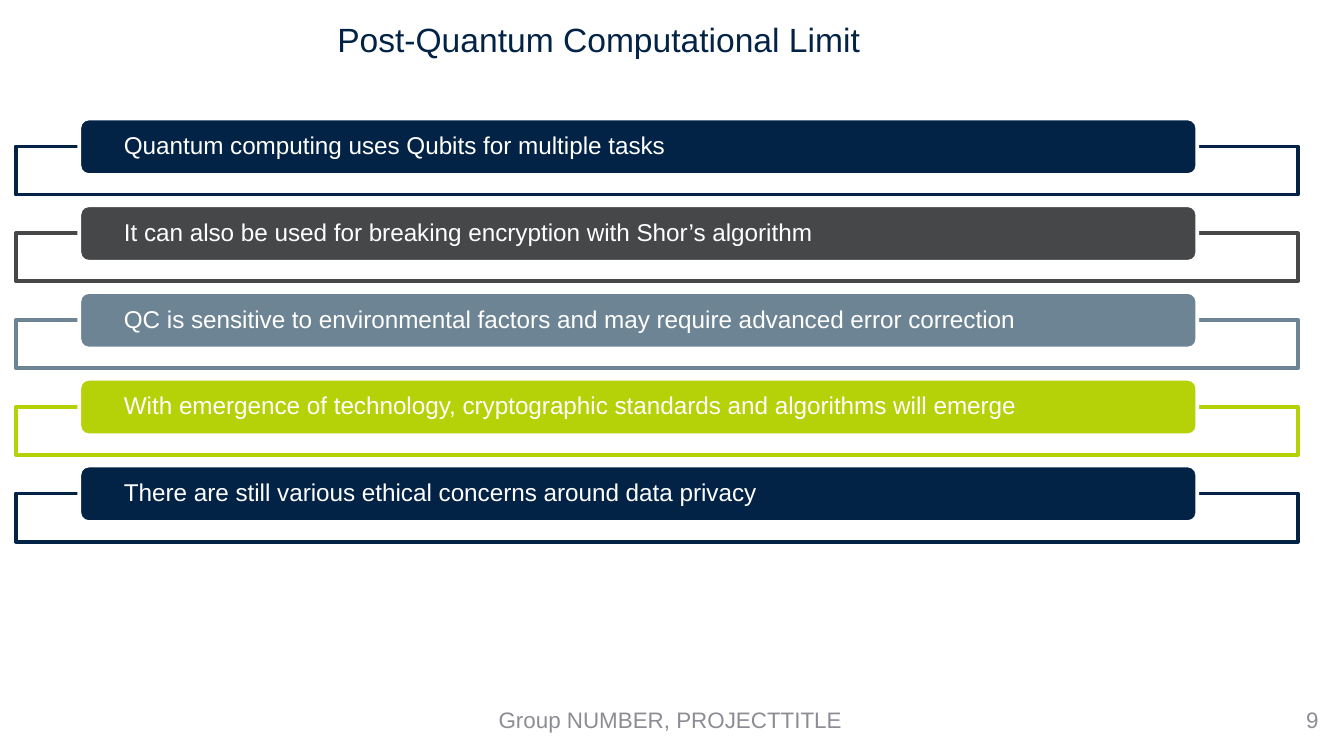
from lxml.etree import SubElement
from pptx import Presentation
from pptx.dml.color import RGBColor
from pptx.enum.shapes import MSO_SHAPE
from pptx.enum.text import MSO_ANCHOR, PP_ALIGN
from pptx.oxml.ns import qn
from pptx.util import Cm, Pt

NAVY = RGBColor(0x02, 0x23, 0x45)
CHARCOAL = RGBColor(0x46, 0x47, 0x49)
SLATE = RGBColor(0x6D, 0x84, 0x95)
LIME = RGBColor(0xB5, 0xD1, 0x07)
GRAY = RGBColor(0x8C, 0x8D, 0x94)
WHITE = RGBColor(0xFF, 0xFF, 0xFF)

POINTS = [
    ("Quantum computing uses Qubits for multiple tasks", NAVY),
    ("It can also be used for breaking encryption with Shor’s algorithm", CHARCOAL),
    ("QC is sensitive to environmental factors and may require advanced error correction", SLATE),
    ("With emergence of technology, cryptographic standards and algorithms will emerge", LIME),
    ("There are still various ethical concerns around data privacy", NAVY),
]
FIRST_TOP = 2.24
ROW_STEP = 1.64
FRAME_OFFSET = 0.53


class SlideBuilder:
    """Draws the slide's elements in one shared style, with lengths in centimetres."""

    font = "Arial"
    line_width = Pt(2)

    def __init__(self, slide):
        self.slide = slide

    def set_text(self, frame, text, size, color, align=PP_ALIGN.LEFT):
        frame.text = text
        frame.word_wrap = True
        frame.vertical_anchor = MSO_ANCHOR.MIDDLE
        paragraph = frame.paragraphs[0]
        paragraph.alignment = align
        font = paragraph.runs[0].font
        font.name, font.size, font.color.rgb = self.font, Pt(size), color
        return paragraph

    def title(self, text, left, top, width, height):
        heading = self.slide.shapes.title
        heading.left, heading.top = Cm(left), Cm(top)
        heading.width, heading.height = Cm(width), Cm(height)
        self.set_text(heading.text_frame, text, 18, NAVY)

    def label(self, text, left, top, width, height, align):
        box = self.slide.shapes.add_textbox(Cm(left), Cm(top), Cm(width), Cm(height))
        self.set_text(box.text_frame, text, 12, GRAY, align)

    def box(self, kind, left, top, width, height, fill, line):
        shape = self.slide.shapes.add_shape(kind, Cm(left), Cm(top), Cm(width), Cm(height))
        shape.shadow.inherit = False
        shape.fill.solid()
        shape.fill.fore_color.rgb = fill
        shape.line.color.rgb = line
        shape.line.width = self.line_width
        return shape

    def frame(self, top, color):
        outline = self.box(MSO_SHAPE.RECTANGLE, 0.3, top, 24.23, 0.91, WHITE, color)
        white = outline.element.spPr.find(qn("a:solidFill")).find(qn("a:srgbClr"))
        SubElement(white, qn("a:alpha"), val="90000")

    def bar(self, text, top, color):
        bar = self.box(MSO_SHAPE.ROUNDED_RECTANGLE, 1.5, top, 21.13, 1.07, color, WHITE)
        frame = bar.text_frame
        frame.margin_left = frame.margin_right = Cm(0.79)
        frame.margin_top = frame.margin_bottom = 0
        self.set_text(frame, text, 13, WHITE).line_spacing = 0.9


def main():
    presentation = Presentation()
    presentation.slide_width, presentation.slide_height = Cm(25.4), Cm(14.29)
    builder = SlideBuilder(presentation.slides.add_slide(presentation.slide_layouts[5]))

    builder.title("Post-Quantum Computational Limit", 6.12, 0.23, 12.7, 1.02)
    builder.label("Group NUMBER, PROJECTTITLE", 4.62, 13.23, 16.1, 0.76, PP_ALIGN.CENTER)
    builder.label("9", 19.25, 13.23, 5.92, 0.76, PP_ALIGN.RIGHT)
    for row, (point, color) in enumerate(POINTS):
        top = FIRST_TOP + row * ROW_STEP
        builder.frame(top + FRAME_OFFSET, color)
        builder.bar(point, top, color)

    presentation.save("out.pptx")


if __name__ == "__main__":
    main()
